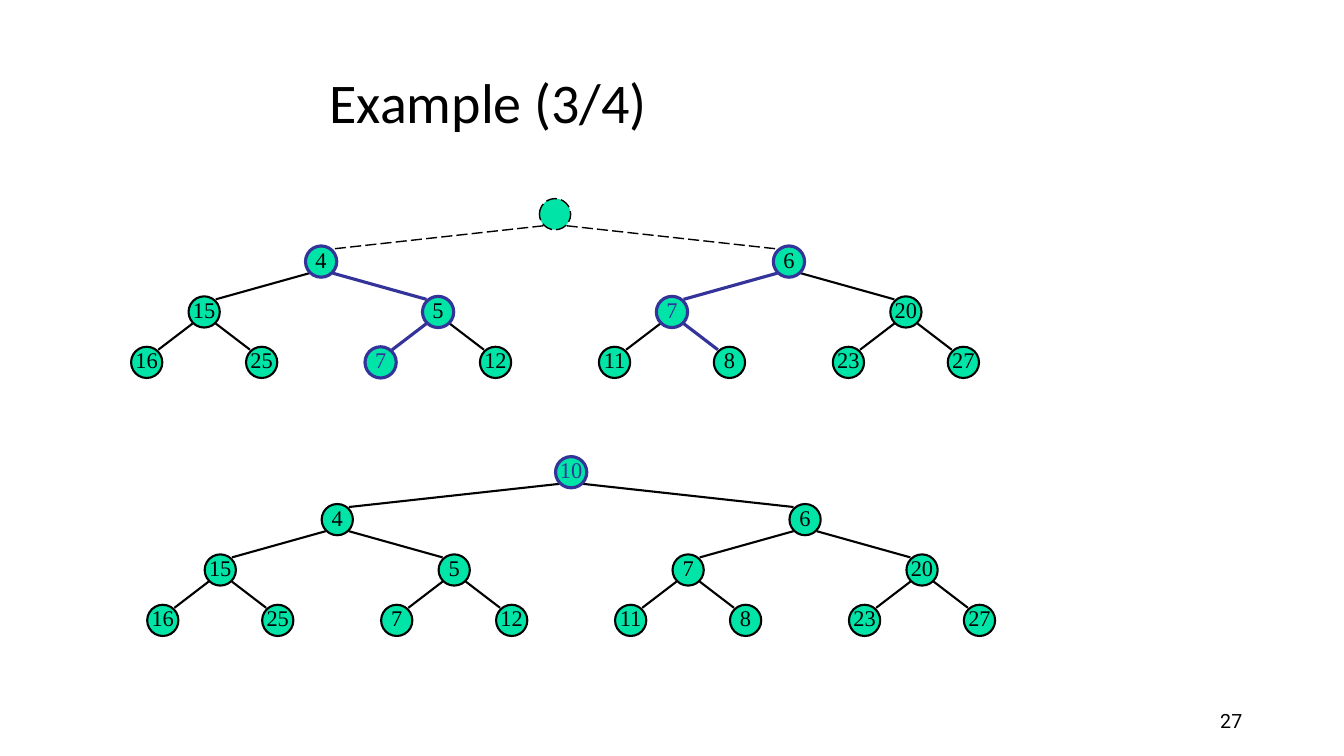
from lxml import etree
from pptx import Presentation
from pptx.dml.color import RGBColor
from pptx.enum.dml import MSO_LINE
from pptx.enum.shapes import MSO_CONNECTOR, MSO_SHAPE
from pptx.enum.text import MSO_ANCHOR as Anchor, PP_ALIGN as Align
from pptx.oxml.ns import qn
from pptx.util import Inches, Pt

BLACK, BLUE, GREEN = "000000", "333399", "00E4A8"
NODE_SIZE = 0.31
LEVEL_TOPS = [0, 0.47, 0.97, 1.47]
CHILD_OFFSETS = [2.32, 1.16, 0.57]
# Where edges meet a node, measured from its left and top
NEAR, FAR, LOW, HIGH = 0.04, 0.27, 0.27, 0.03

# Values in heap order: the children of i are 2i + 1 and 2i + 2
SUBTREES = ["4", "6", "15", "5", "7", "20", "16", "25", "7", "12", "11", "8", "23", "27"]


def color(hex_text):
    return RGBColor.from_string(hex_text)


def write(shape, text, size, font_name, hex_text, align):
    frame = shape.text_frame
    frame.text = text
    frame.vertical_anchor = Anchor.MIDDLE
    paragraph = frame.paragraphs[0]
    paragraph.alignment = align
    font = paragraph.runs[0].font
    font.size, font.name = Pt(size), font_name
    font.color.rgb = color(hex_text)
    return paragraph


def add_text(slide, text, box, size, font_name, align):
    shape = slide.shapes.add_textbox(*[Inches(value) for value in box])
    shape.text_frame.word_wrap = True
    return write(shape, text, size, font_name, BLACK, align)


def style_line(line, hex_text, width, dashed):
    line.color.rgb = color(hex_text)
    line.width = Pt(width)
    if dashed:
        line.dash_style = MSO_LINE.LONG_DASH


def outline(highlighted, dashed):
    if dashed:
        return BLACK, 1, True
    return (BLUE, 2.25, False) if highlighted else (BLACK, 1.5, False)


def add_edge(slide, start, end, style):
    points = [Inches(value) for value in (*start, *end)]
    edge = slide.shapes.add_connector(MSO_CONNECTOR.STRAIGHT, *points)
    style_line(edge.line, *style)
    etree.SubElement(edge._element.spPr, qn("a:effectLst"))


def add_node(slide, left, top, label, label_color, style):
    node = slide.shapes.add_shape(
        MSO_SHAPE.OVAL, Inches(left), Inches(top), Inches(NODE_SIZE), Inches(NODE_SIZE))
    node.shadow.inherit = False
    node.fill.solid()
    node.fill.fore_color.rgb = color(GREEN)
    style_line(node.line, *style)
    if label:
        frame = node.text_frame
        frame.margin_left = frame.margin_top = frame.margin_right = 0
        frame.margin_bottom = Inches(0.05)
        frame.word_wrap = False
        write(node, label, 16, "Times New Roman", label_color, Align.CENTER)


def node_positions(left, top, count):
    positions = [(left, top)]
    for index in range(1, count):
        level = (index + 1).bit_length() - 1
        side = -1 if index % 2 else 1
        parent_left = positions[(index - 1) // 2][0]
        positions.append((parent_left + side * CHILD_OFFSETS[level - 1],
                          top + LEVEL_TOPS[level]))
    return positions


def add_tree(slide, left, top, root, blue_nodes=(), blue_edges=(), blue_labels=()):
    labels = [root] + SUBTREES
    positions = node_positions(left, top, len(labels))
    # Edges
    for index in range(1, len(labels)):
        parent = (index - 1) // 2
        parent_left, parent_top = positions[parent]
        child_left, child_top = positions[index]
        parent_x, child_x = (NEAR, FAR) if index % 2 else (FAR, NEAR)
        add_edge(slide, (parent_left + parent_x, parent_top + LOW),
                 (child_left + child_x, child_top + HIGH),
                 outline(index in blue_edges, not labels[parent]))
    # Nodes
    for index, (label, (node_left, node_top)) in enumerate(zip(labels, positions)):
        add_node(slide, node_left, node_top, label,
                 BLUE if index in blue_labels else BLACK,
                 outline(index in blue_nodes, not label))


def main():
    presentation = Presentation()
    presentation.slide_width, presentation.slide_height = Inches(13.33), Inches(7.5)
    slide = presentation.slides.add_slide(presentation.slide_layouts[6])

    # Title and slide number
    title = add_text(slide, "Example (3/4)", (3.17, 0.42, 5.41, 1.25), 40, "Calibri", Align.LEFT)
    title.line_spacing = 0.9
    add_text(slide, "27", (9.42, 6.95, 3, 0.4), 14, "Roboto", Align.RIGHT)

    # Tree with an empty root, then the tree with its new root
    add_tree(slide, 5.35, 1.97, "", blue_nodes=(1, 2, 4, 5, 9),
             blue_edges=(4, 5, 9, 12), blue_labels=(5, 9))
    add_tree(slide, 5.51, 4.53, "10", blue_nodes=(0,), blue_labels=(0,))

    presentation.save("out.pptx")


if __name__ == "__main__":
    main()
